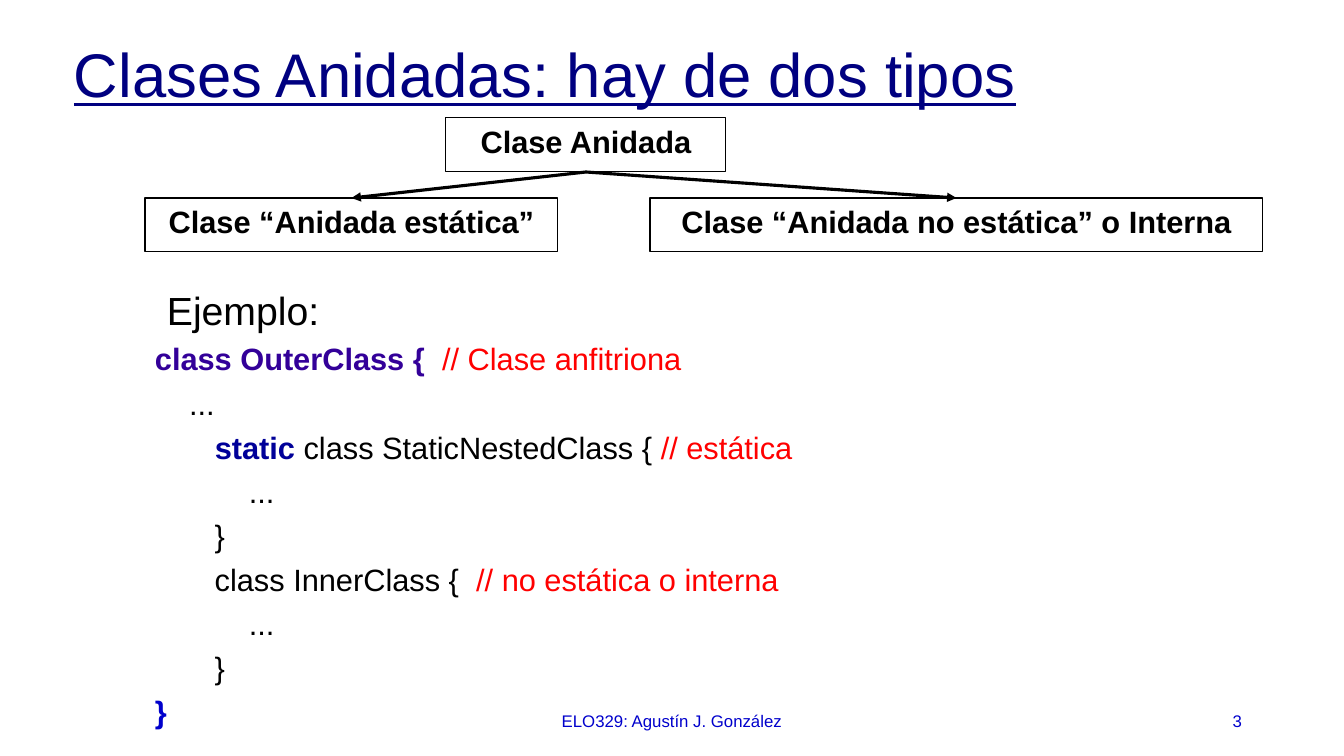
from pptx import Presentation
from pptx.dml.color import RGBColor
from pptx.enum.shapes import MSO_CONNECTOR, MSO_SHAPE
from pptx.enum.text import MSO_ANCHOR, PP_ALIGN
from pptx.oxml.ns import qn
from pptx.util import Emu, Pt
from lxml.etree import SubElement

SLIDE_W, SLIDE_H = 1344, 756
EMU_PER_PX = 12192000 / SLIDE_W
FONT = "Arial"
COLORS = {
    "black": "000000",
    "title": "000080",
    "outer": "330099",
    "keyword": "000099",
    "comment": "FF0000",
    "blue": "0000CC",
}


def px(length):
    return Emu(round(length * EMU_PER_PX))


def place(box):
    return [px(length) for length in box]


def color(name):
    return RGBColor.from_string(COLORS[name])


def add_run(paragraph, text, size, color_name="black", bold=False, underline=False):
    run = paragraph.add_run()
    run.text = text
    font = run.font
    font.name, font.size, font.bold = FONT, Pt(size), bold
    font.underline = underline
    font.color.rgb = color(color_name)


def set_frame(shape, anchor=MSO_ANCHOR.TOP, top=5):
    frame = shape.text_frame
    frame.word_wrap = True
    frame.vertical_anchor = anchor
    frame.margin_left = frame.margin_right = px(10)
    frame.margin_top, frame.margin_bottom = px(top), px(5)
    return frame


def add_title(slide, box):
    frame = set_frame(slide.shapes.add_textbox(*place(box)), MSO_ANCHOR.MIDDLE)
    paragraph = frame.paragraphs[0]
    paragraph.line_spacing = 0.9
    add_run(paragraph, "Clases Anidadas: hay de dos tipos", 44, "title", underline=True)


def add_class_box(slide, box, label):
    class_box = slide.shapes.add_shape(MSO_SHAPE.RECTANGLE, *place(box))
    class_box.shadow.inherit = False
    class_box.fill.background()
    class_box.line.color.rgb = color("black")
    class_box.line.width = Pt(0.75)
    paragraph = set_frame(class_box).paragraphs[0]
    paragraph.alignment = PP_ALIGN.CENTER
    add_run(paragraph, label, 22, bold=True)
    return class_box


def add_arrow(slide, parent, child):
    arrow = slide.shapes.add_connector(MSO_CONNECTOR.STRAIGHT, 0, 0, 0, 0)
    arrow.begin_connect(parent, 2)
    arrow.end_connect(child, 0)
    arrow.line.color.rgb = color("black")
    arrow.line.width = Pt(2.25)
    SubElement(arrow.line._get_or_add_ln(), qn("a:tailEnd"), type="triangle")
    SubElement(arrow._element.spPr, qn("a:effectLst"))


def add_class_tree(slide, box):
    left, top, width, height = box
    row_h = 54
    child_top = top + height - row_h
    nested = add_class_box(slide, (left + 301, top, 280, row_h), "Clase Anidada")
    inner = add_class_box(slide, (left + width - 613, child_top, 613, row_h),
                          "Clase “Anidada no estática” o Interna")
    static = add_class_box(slide, (left, child_top, 413, row_h),
                           "Clase “Anidada estática”")
    for child in (static, inner):
        add_arrow(slide, nested, child)


def add_example(slide, box):
    frame = set_frame(slide.shapes.add_textbox(*place(box)), top=9)
    heading = frame.paragraphs[0]
    heading._p.get_or_add_pPr().set("marL", str(px(12)))
    add_run(heading, "Ejemplo:", 28)

    # Each line is a list of (text, color, bold) runs
    member_body = [("           ...", "black", False)]
    member_end = [("       }", "black", False)]
    code = [
        [("class OuterClass {  ", "outer", True),
         ("// Clase anfitriona", "comment", False)],
        [("    ...", "black", False)],
        [("       ", "black", False), ("static ", "keyword", True),
         ("class StaticNestedClass { ", "black", False),
         ("// estática", "comment", False)],
        member_body,
        member_end,
        [("       class InnerClass {  ", "black", False),
         ("// no estática o interna", "comment", False)],
        member_body,
        member_end,
        [("}", "blue", True)],
    ]
    for line in code:
        paragraph = frame.add_paragraph()
        paragraph.space_before = Pt(5.1)
        for text, color_name, bold in line:
            add_run(paragraph, text, 22, color_name, bold)


def add_footer(slide, box):
    left, top, width, height = box
    parts = [
        ("ELO329: Agustín J. González", left, 454, PP_ALIGN.CENTER),
        ("3", left + width - 302, 302, PP_ALIGN.RIGHT),
    ]
    for text, part_left, part_width, alignment in parts:
        part = slide.shapes.add_textbox(*place((part_left, top, part_width, height)))
        paragraph = set_frame(part, MSO_ANCHOR.MIDDLE).paragraphs[0]
        paragraph.alignment = alignment
        add_run(paragraph, text, 12, "blue")


def main():
    prs = Presentation()
    prs.slide_width, prs.slide_height = px(SLIDE_W), px(SLIDE_H)
    slide = prs.slides.add_slide(prs.slide_layouts[6])
    add_title(slide, (64, 30, 1218, 96))
    add_example(slide, (145, 277, 736, 456))
    add_footer(slide, (445, 701, 807, 40))
    add_class_tree(slide, (145, 118, 1118, 134))
    prs.save("out.pptx")


if __name__ == "__main__":
    main()
